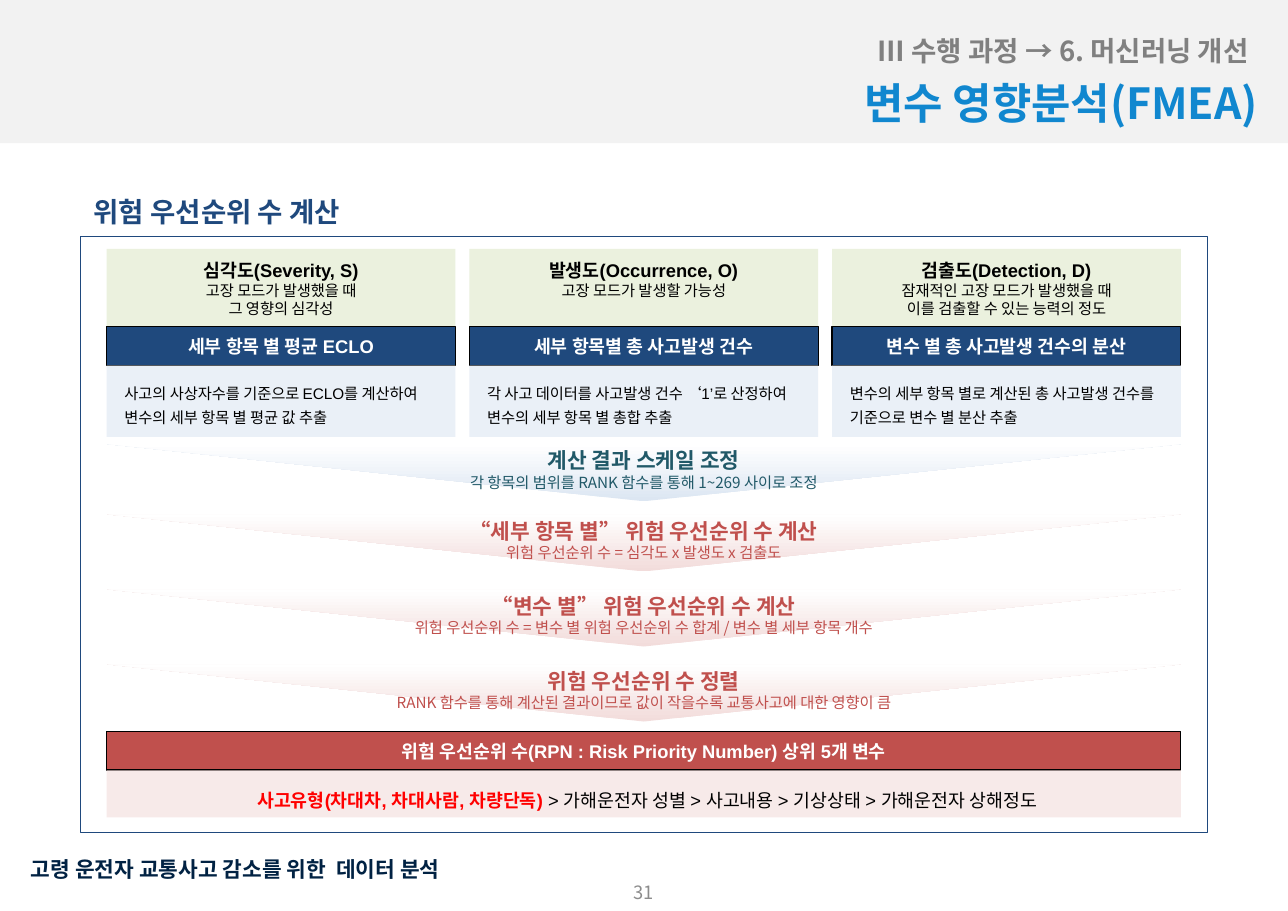
import pptx
import pptx.util
import pptx.dml.color
import pptx.enum.shapes
import pptx.enum.text
from dataclasses import dataclass
from lxml import etree
from pptx.oxml.ns import qn

Cm = pptx.util.Cm
Shapes = pptx.enum.shapes.MSO_SHAPE
Align = pptx.enum.text.PP_ALIGN
Anchor = pptx.enum.text.MSO_ANCHOR


@dataclass(frozen=True)
class Theme:
    sans: str = "Noto Sans CJK KR"
    latin: str = "Arial"
    band: str = "F2F2F2"
    title: str = "1187CF"
    breadcrumb: str = "808080"
    footer: str = "012243"
    number: str = "8C8C8C"
    navy: str = "1F497D"
    green: str = "EBF1DE"
    blue: str = "DCE6F2"
    teal: str = "215968"
    red: str = "C0504D"
    pink: str = "F2DCDB"
    alert: str = "FF0000"
    black: str = "000000"
    white: str = "FFFFFF"
    title_size: int = 28
    heading_size: int = 18
    step_size: int = 14
    label_size: int = 12
    body_size: int = 10
    line: float = 0.75


THEME = Theme()

BREADCRUMB = "Ⅲ 수행 과정 → 6. 머신러닝 개선"
TITLE = "변수 영향분석(FMEA)"
HEADING = "위험 우선순위 수 계산"
FOOTER = "고령 운전자 교통사고 감소를 위한  데이터 분석"
PAGE_NUMBER = "31"

# name, definition lines, measure, explanation
FACTORS = [
    ("심각도(Severity, S)", ["고장 모드가 발생했을 때", "그 영향의 심각성"],
     "세부 항목 별 평균 ECLO",
     "사고의 사상자수를 기준으로 ECLO를 계산하여 변수의 세부 항목 별 평균 값 추출"),
    ("발생도(Occurrence, O)", ["고장 모드가 발생할 가능성"],
     "세부 항목별 총 사고발생 건수",
     "각 사고 데이터를 사고발생 건수 ‘1’로 산정하여 변수의 세부 항목 별 총합 추출"),
    ("검출도(Detection, D)", ["잠재적인 고장 모드가 발생했을 때", "이를 검출할 수 있는 능력의 정도"],
     "변수 별 총 사고발생 건수의 분산",
     "변수의 세부 항목 별로 계산된 총 사고발생 건수를 기준으로 변수 별 분산 추출"),
]

# top in cm, arrow colour, text colour, name, explanation
STEPS = [
    (10.24, THEME.blue, THEME.teal, "계산 결과 스케일 조정",
     "각 항목의 범위를 RANK 함수를 통해 1~269 사이로 조정"),
    (11.86, THEME.pink, THEME.red, "“세부 항목 별” 위험 우선순위 수 계산",
     "위험 우선순위 수 = 심각도 x 발생도 x 검출도"),
    (13.59, THEME.pink, THEME.red, "“변수 별” 위험 우선순위 수 계산",
     "위험 우선순위 수 = 변수 별 위험 우선순위 수 합계 / 변수 별 세부 항목 개수"),
    (15.32, THEME.pink, THEME.red, "위험 우선순위 수 정렬",
     "RANK 함수를 통해 계산된 결과이므로 값이 작을수록 교통사고에 대한 영향이 큼"),
]

RESULT_LABEL = "위험 우선순위 수(RPN : Risk Priority Number) 상위 5개 변수"
RESULT_TOP = "사고유형(차대차, 차대사람, 차량단독) "
RESULT_REST = "> 가해운전자 성별 > 사고내용 > 기상상태 > 가해운전자 상해정도"

LEFT, PANEL_WIDTH, GAP = 2.46, 8.05, 0.32
TOTAL_WIDTH = 3 * PANEL_WIDTH + 2 * GAP
DEFINITION_TOP, DEFINITION_HEIGHT = 5.74, 1.8
LABEL_HEIGHT, EXPLANATION_HEIGHT = 0.89, 1.65
ARROW_HEIGHT = 1.32
RESULT_Y, RESULT_HEIGHT = 16.87, 1.09
LABEL_INSETS = (0.25, 0.1, 0.25, 0.1)
BODY_INSETS = (0.41, 0.3, 0.25, 0.1)


def rgb(value):
    return pptx.dml.color.RGBColor.from_string(value)


def add_shape(slide, box, fill=None, line=None, kind=Shapes.RECTANGLE, opacity=None):
    shape = slide.shapes.add_shape(kind, *map(Cm, box))
    shape.shadow.inherit = False
    if fill:
        shape.fill.solid()
        shape.fill.fore_color.rgb = rgb(fill)
    else:
        shape.fill.background()
    if opacity:
        color = shape.fill._xPr.find(qn("a:solidFill"))[0]
        etree.SubElement(color, qn("a:alpha")).set("val", str(opacity * 1000))
    if line:
        shape.line.color.rgb = rgb(line)
        shape.line.width = pptx.util.Pt(THEME.line)
    else:
        shape.line.fill.background()
    return shape


def set_frame(shape, anchor=Anchor.TOP, insets=(0.25, 0.13, 0.25, 0.13)):
    frame = shape.text_frame
    frame.word_wrap = True
    frame.vertical_anchor = anchor
    (frame.margin_left, frame.margin_top,
     frame.margin_right, frame.margin_bottom) = map(Cm, insets)
    return frame


def write(frame, lines, align=Align.LEFT, font=THEME.sans, spacing=None):
    """Fill a frame with lines of (text, size, colour, bold)."""
    for index, (text, size, color, bold) in enumerate(lines):
        paragraph = frame.add_paragraph() if index else frame.paragraphs[0]
        paragraph.text = text
        paragraph.alignment = align
        if spacing:
            paragraph.line_spacing = spacing
        paragraph.font.size = pptx.util.Pt(size)
        paragraph.font.bold = bold
        paragraph.font.color.rgb = rgb(color)
        paragraph.font.name = font
        etree.SubElement(paragraph.font._element, qn("a:ea")).set("typeface", THEME.sans)


def add_text(slide, box, lines, align=Align.LEFT, anchor=Anchor.MIDDLE):
    write(set_frame(slide.shapes.add_textbox(*map(Cm, box)), anchor), lines, align)


def add_label(slide, box, text, fill):
    frame = set_frame(add_shape(slide, box, fill, THEME.black), Anchor.MIDDLE, LABEL_INSETS)
    write(frame, [(text, THEME.label_size, THEME.white, True)], Align.CENTER, THEME.latin)


def add_factor(slide, left, name, definition, measure, explanation):
    box = (left, DEFINITION_TOP, PANEL_WIDTH, DEFINITION_HEIGHT)
    frame = set_frame(add_shape(slide, box, THEME.green), insets=(0.25, 0.24, 0.25, 0.13))
    lines = [(name, THEME.label_size, THEME.black, True)]
    lines += [(text, THEME.body_size, THEME.black, False) for text in definition]
    write(frame, lines, Align.CENTER, THEME.latin)

    label_top = DEFINITION_TOP + DEFINITION_HEIGHT
    add_label(slide, (left, label_top, PANEL_WIDTH, LABEL_HEIGHT), measure, THEME.navy)

    box = (left, label_top + LABEL_HEIGHT, PANEL_WIDTH, EXPLANATION_HEIGHT)
    frame = set_frame(add_shape(slide, box, THEME.blue, opacity=60), insets=BODY_INSETS)
    write(frame, [(explanation, THEME.body_size, THEME.black, False)],
          font=THEME.latin, spacing=1.3)


def add_step(slide, top, fill, color, name, explanation):
    arrow = add_shape(slide, (LEFT, top, TOTAL_WIDTH, ARROW_HEIGHT),
                      kind=Shapes.ISOSCELES_TRIANGLE)
    arrow.rotation = 180
    arrow.fill.gradient()
    arrow.fill.gradient_angle = 270
    for stop, position, shade in zip(arrow.fill.gradient_stops, (0.01, 1), (fill, THEME.white)):
        stop.position = position
        stop.color.rgb = rgb(shade)
    add_text(slide, (LEFT, top - 0.05, TOTAL_WIDTH, 1.27),
             [(name, THEME.step_size, color, True),
              (explanation, THEME.body_size, color, False)], Align.CENTER, Anchor.TOP)


def add_result(slide):
    add_label(slide, (LEFT, RESULT_Y, TOTAL_WIDTH, LABEL_HEIGHT), RESULT_LABEL, THEME.red)
    box = (LEFT, RESULT_Y + LABEL_HEIGHT, TOTAL_WIDTH, RESULT_HEIGHT)
    frame = set_frame(add_shape(slide, box, THEME.pink, opacity=60), insets=BODY_INSETS)
    write(frame, [(RESULT_TOP, THEME.label_size, THEME.black, False)],
          Align.CENTER, THEME.latin, 1.3)
    paragraph = frame.paragraphs[0]
    paragraph.runs[0].font.bold = True
    paragraph.runs[0].font.color.rgb = rgb(THEME.alert)
    paragraph.add_run().text = RESULT_REST


def main():
    presentation = pptx.Presentation()
    presentation.slide_width, presentation.slide_height = Cm(29.72), Cm(21.01)
    slide = presentation.slides.add_slide(presentation.slide_layouts[6])

    add_shape(slide, (0, 0, 29.72, 3.3), THEME.band)
    add_text(slide, (6.63, 0.66, 22.43, 1.02),
             [(BREADCRUMB, THEME.heading_size, THEME.breadcrumb, True)], Align.RIGHT)
    add_text(slide, (9.58, 1.63, 19.69, 1.45),
             [(TITLE, THEME.title_size, THEME.title, True)], Align.RIGHT)
    add_text(slide, (1.91, 4.37, 25.96, 1.24),
             [(HEADING, THEME.heading_size, THEME.navy, True)], anchor=Anchor.TOP)
    add_shape(slide, (1.85, 5.46, 26.01, 13.74), line=THEME.navy)

    for index, factor in enumerate(FACTORS):
        add_factor(slide, LEFT + index * (PANEL_WIDTH + GAP), *factor)
    for step in STEPS:
        add_step(slide, *step)
    add_result(slide)

    add_text(slide, (0.46, 19.61, 22.43, 0.86),
             [(FOOTER, THEME.step_size, THEME.footer, True)])
    add_text(slide, (11.89, 20.07, 5.92, 1.02),
             [(PAGE_NUMBER, THEME.label_size, THEME.number, False)], Align.CENTER)
    presentation.save("out.pptx")


if __name__ == "__main__":
    main()
